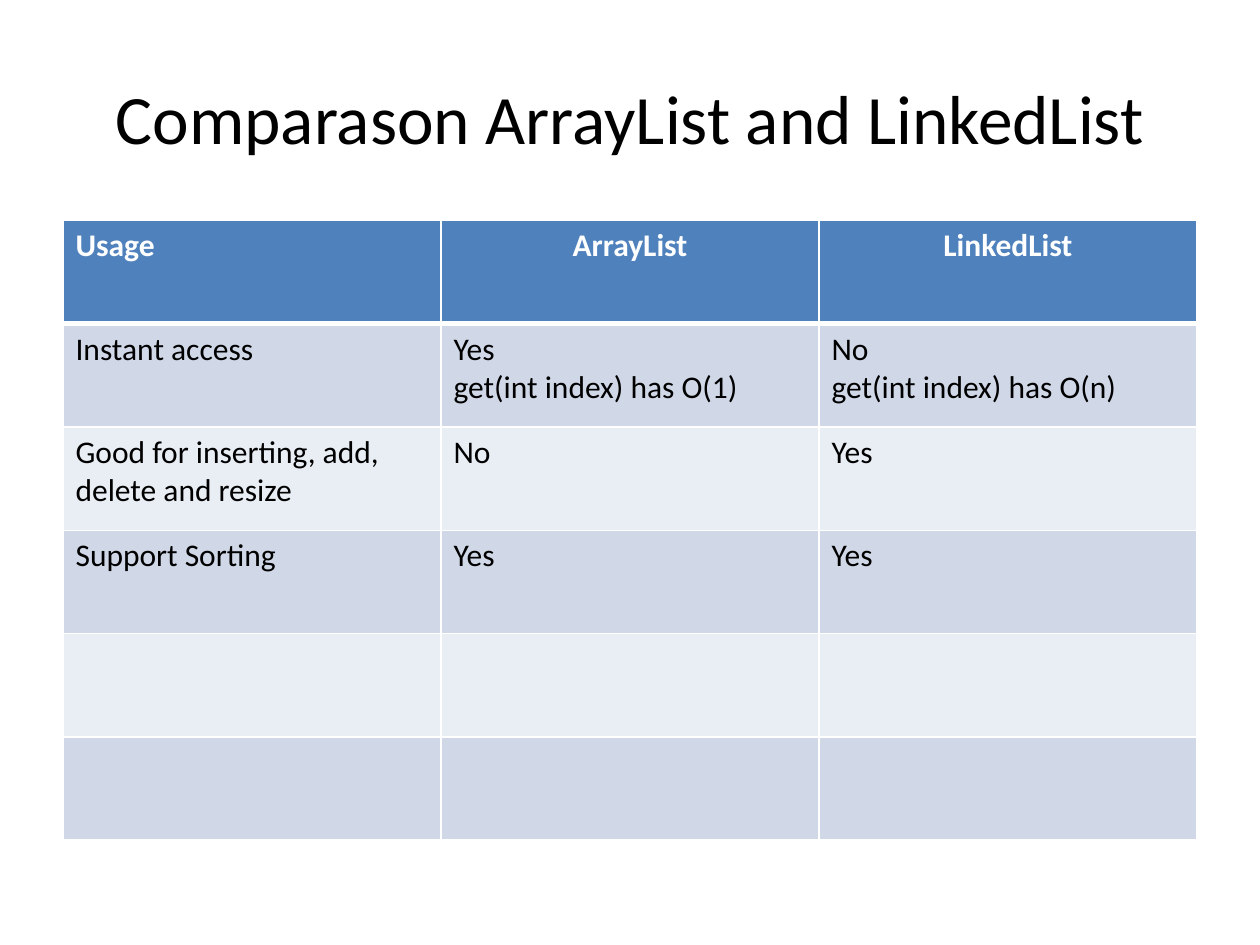
"""Build a slide that compares two list classes in a table."""
from dataclasses import dataclass

from lxml.etree import SubElement
from pptx import Presentation
from pptx.dml.color import RGBColor
from pptx.enum.text import MSO_ANCHOR as Anchor, PP_ALIGN as Align
from pptx.oxml.ns import qn
from pptx.util import Inches, Pt

FONT = "Calibri"
WHITE, BLACK, BLUE = "FFFFFF", "000000", "4F81BD"
BANDS = ("D0D8E8", "E9EDF4")
WIDE, HIGH = 3, 0.82


@dataclass
class Row:
    usage: str = ""
    array: str = ""
    linked: str = ""


ROWS = [
    Row("Usage", "ArrayList", "LinkedList"),
    Row("Instant access", "Yes\nget(int index) has O(1)", "No\nget(int index) has O(n)"),
    Row("Good for inserting, add, delete and resize", "No", "Yes"),
    Row("Support Sorting", "Yes", "Yes"),
    Row(),
    Row(),
]


def paint(code: str) -> RGBColor:
    return RGBColor.from_string(code)


def write(frame, text: str, size: float = 18, color: str = BLACK,
          bold: bool = False, align: Align = Align.LEFT) -> None:
    frame.word_wrap = True
    frame.text = text
    for para in frame.paragraphs:
        para.alignment = align
        font = para.font
        font.name, font.size, font.bold = FONT, Pt(size), bold
        font.color.rgb = paint(color)


def edge(cell, side: str, width: float) -> None:
    props = cell._tc.get_or_add_tcPr()
    line = SubElement(props, qn(f"a:ln{side}"), w=str(Pt(width)))
    fill = SubElement(line, qn("a:solidFill"))
    SubElement(fill, qn("a:srgbClr"), val=WHITE)


def draw_row(table, index: int, row: Row) -> None:
    head = index == 0
    table.rows[index].height = Inches(HIGH)
    for col, text in enumerate((row.usage, row.array, row.linked)):
        cell = table.cell(index, col)
        for side in "LRTB":
            thick = (index, side) in ((0, "B"), (1, "T"))
            edge(cell, side, 3 if thick else 1)
        cell.fill.solid()
        cell.fill.fore_color.rgb = paint(BLUE if head else BANDS[(index - 1) % 2])
        write(cell.text_frame, text, color=WHITE if head else BLACK, bold=head,
              align=Align.CENTER if head and col else Align.LEFT)


def main() -> None:
    deck = Presentation()
    deck.slide_width, deck.slide_height = Inches(10), Inches(7.5)
    slide = deck.slides.add_slide(deck.slide_layouts[6])
    title = slide.shapes.add_textbox(Inches(0.5), Inches(0.3), Inches(9), Inches(1.25))
    title.text_frame.vertical_anchor = Anchor.MIDDLE
    write(title.text_frame, "Comparason ArrayList and LinkedList",
          size=39.6, align=Align.CENTER)
    table = slide.shapes.add_table(len(ROWS), 3, Inches(0.5), Inches(1.75),
                                   Inches(3 * WIDE), Inches(len(ROWS) * HIGH)).table
    for column in table.columns:
        column.width = Inches(WIDE)
    for index, row in enumerate(ROWS):
        draw_row(table, index, row)
    deck.save("out.pptx")


if __name__ == "__main__":
    main()
